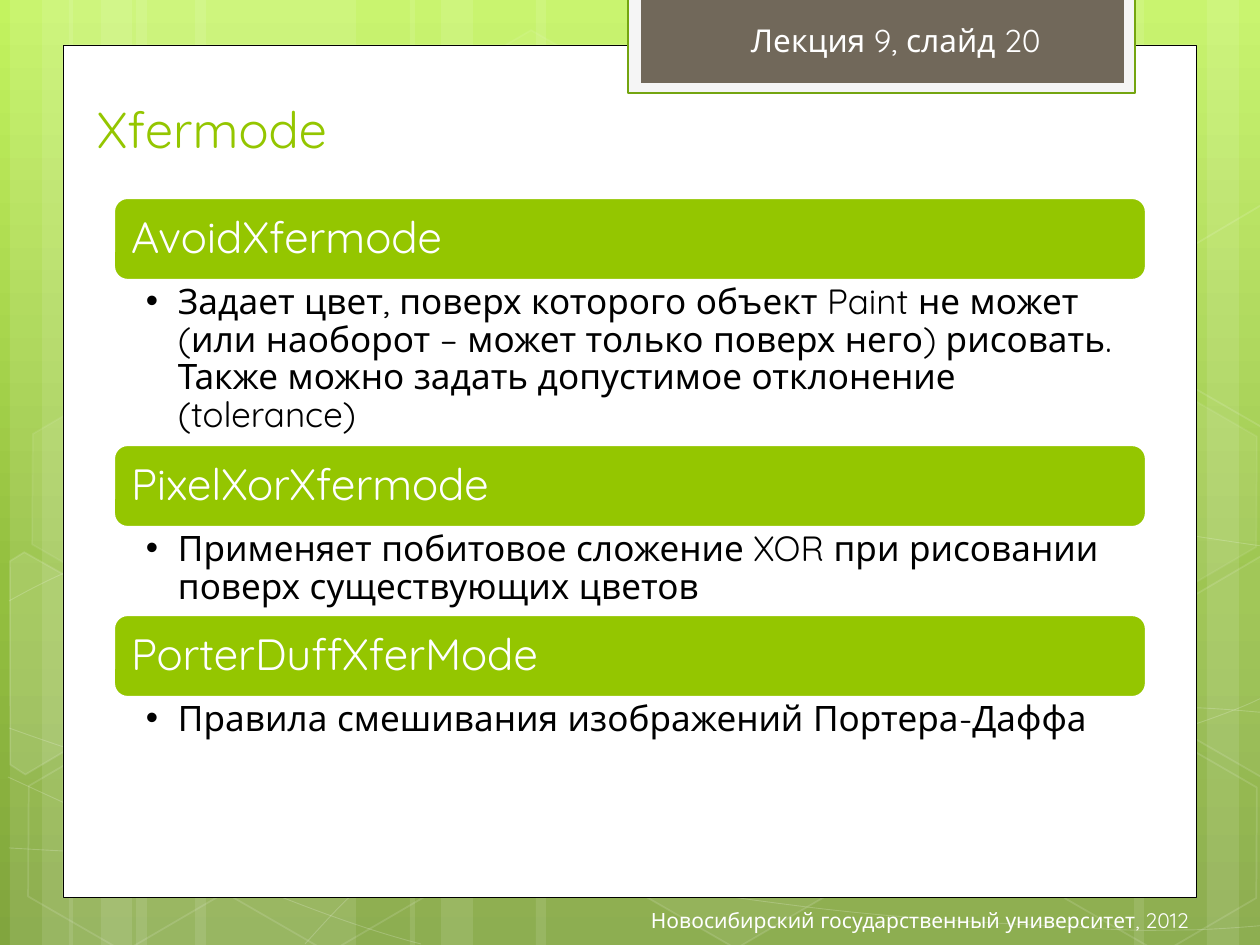
import copy
import math
from dataclasses import dataclass

import pptx
import pptx.dml.color
import pptx.enum.shapes
import pptx.enum.text
import pptx.oxml
import pptx.oxml.ns
import pptx.util

SCALE = 914400 / 126  # EMU per px
FONT = "Quicksand"
GREEN, WHITE, BLACK = "94C600", "FFFFFF", "000000"
TILT = 30  # degrees, all hexagons
SHAPE = pptx.enum.shapes.MSO_SHAPE
ALIGN = pptx.enum.text.PP_ALIGN
ANCHOR = pptx.enum.text.MSO_ANCHOR
qn = pptx.oxml.ns.qn
NS = pptx.oxml.ns.nsdecls("a")


@dataclass
class Box:
    x: int
    y: int
    w: int
    h: int


@dataclass
class Style:
    fill: str | None = None
    fill_alpha: int = 100
    line: str | None = None
    width: float = 1
    line_alpha: int = 100


@dataclass
class Hexagon:
    x: int
    y: int
    fill_alpha: int
    line_alpha: int


@dataclass
class CutHexagon:
    center: tuple
    fill_alpha: int
    corners: list[tuple]


@dataclass
class Curve:
    points: list[tuple]  # a start, then two handles and an end for each piece
    straight: int = -1  # index of an end that is reached by a straight line


@dataclass
class Section:
    name: str
    text: str
    height: int


HEXAGONS = [
    Hexagon(421, 45, 4, 8), Hexagon(626, 742, 6, 12), Hexagon(14, 745, 0, 12),
    Hexagon(18, 393, 7, 8), Hexagon(219, 746, 0, 12), Hexagon(949, 571, 10, 12),
    Hexagon(1051, 747, 0, 12), Hexagon(1051, 396, 7, 8),
]
CUT_HEXAGONS = [
    CutHexagon((45, 674), 10, [(10, 561), (24, 552), (121, 607), (120, 718),
                               (25, 774), (10, 765)]),
    CutHexagon((1241, 655), 4, [(1167, 611), (1261, 556), (1271, 562), (1271, 772),
                                (1263, 777), (1167, 722)]),
    CutHexagon((1241, 304), 0, [(1167, 261), (1261, 205), (1273, 212), (1271, 422),
                                (1263, 427), (1167, 372)]),
]
CURVES = [
    Curve([(9, 848), (77, 852), (145, 856), (239, 854), (334, 853), (451, 850), (577, 838),
           (703, 825), (882, 801), (998, 777), (1113, 753), (1231, 716), (1269, 694)]),
    Curve([(9, 601), (45, 581), (82, 562), (152, 543), (224, 524), (326, 496), (437, 488),
           (549, 479), (685, 478), (824, 488), (963, 498), (1193, 537), (1269, 547)]),
    Curve([(8, 777), (160, 847), (311, 916), (421, 944)]),
    Curve([(9, 728), (48, 742), (88, 756), (161, 776), (234, 795), (344, 827), (450, 848),
           (554, 869), (687, 892), (791, 905), (896, 919), (1008, 924), (1075, 927),
           (1140, 932), (1158, 930), (1191, 930), (1223, 929), (1246, 927), (1269, 925)]),
    Curve([(305, 944), (328, 919), (350, 893), (381, 871), (411, 848), (454, 823), (489, 805),
           (524, 788), (546, 780), (592, 767), (638, 755), (722, 737), (766, 728),
           (811, 719), (818, 719), (857, 717), (896, 713), (958, 709), (1000, 708),
           (1045, 707), (1116, 708), (1116, 708), (1201, 708),
           (1223, 709), (1245, 711), (1256, 712), (1268, 713), (1264, 712), (1268, 713)], 22),
]
SECTIONS = [
    Section("AvoidXfermode", "Задает цвет, поверх которого объект Paint не может "
            "(или наоборот – может только поверх него) рисовать. "
            "Также можно задать допустимое отклонение (tolerance)", 165),
    Section("PixelXorXfermode", "Применяет побитовое сложение XOR при рисовании "
            "поверх существующих цветов", 88),
    Section("PorterDuffXferMode", "Правила смешивания изображений Портера-Даффа", 88),
]


def px(n: float) -> pptx.util.Emu:
    return pptx.util.Emu(round(n * SCALE))


def rgb(color: str) -> pptx.dml.color.RGBColor:
    return pptx.dml.color.RGBColor.from_string(color)


def set_fill(fill, color: str | None, alpha: int, parent) -> None:
    if color is None or alpha == 0:
        fill.background()
        return
    fill.solid()
    fill.fore_color.rgb = rgb(color)
    if alpha < 100:
        clr = parent.find(qn("a:solidFill")).find(qn("a:srgbClr"))
        clr.append(pptx.oxml.parse_xml(f'<a:alpha {NS} val="{alpha * 1000}"/>'))


def apply_style(sp, style: Style) -> None:
    sp.shadow.inherit = False
    sp_pr = sp._element.spPr
    set_fill(sp.fill, style.fill, style.fill_alpha, sp_pr)
    sp.line.width = pptx.util.Pt(style.width)
    set_fill(sp.line.fill, style.line, style.line_alpha, sp_pr.find(qn("a:ln")))


def add_shape(s, kind, box: Box, style: Style):
    sp = s.shapes.add_shape(kind, px(box.x), px(box.y), px(box.w), px(box.h))
    apply_style(sp, style)
    return sp


def add_outline(s, points: list[tuple], style: Style, close: bool):
    builder = s.shapes.build_freeform(*points[0], scale=SCALE)
    builder.add_line_segments(points[1:], close=close)
    sp = builder.convert_to_shape()
    apply_style(sp, style)
    return sp


def add_curve(s, curve: Curve, style: Style) -> None:
    sp = add_outline(s, curve.points, style, False)
    lines = sp._element.findall(".//" + qn("a:lnTo"))
    i = 0
    while i < len(lines):
        if i + 1 == curve.straight:
            i += 1
            continue
        # Two handles and an end become one cubic piece
        cubic = pptx.oxml.parse_xml(f"<a:cubicBezTo {NS}/>")
        lines[i].addprevious(cubic)
        for line in lines[i:i + 3]:
            cubic.append(line[0])
            line.getparent().remove(line)
        i += 3


def add_cut_hexagon(s, h: CutHexagon) -> None:
    cx, cy = h.center
    cos, sin = math.cos(math.radians(TILT)), math.sin(math.radians(TILT))
    upright = [(cx + (x - cx) * cos + (y - cy) * sin, cy - (x - cx) * sin + (y - cy) * cos)
               for x, y in h.corners]
    add_outline(s, upright, Style(WHITE, h.fill_alpha, WHITE, 1, 12), True).rotation = TILT


def add_text(s, box: Box, text: str, size: float, color: str, *, anchor=ANCHOR.TOP,
             align=ALIGN.LEFT, insets: tuple = (13, 6, 13, 6), wrap: bool = True,
             spacing: float = 1, margin: int = 0, bullet: bool = False) -> None:
    sp = s.shapes.add_textbox(px(box.x), px(box.y), px(box.w), px(box.h))
    tf = sp.text_frame
    tf.word_wrap = wrap
    tf.vertical_anchor = anchor
    tf.margin_left, tf.margin_top, tf.margin_right, tf.margin_bottom = map(px, insets)
    p = tf.paragraphs[0]
    p_pr = p._p.get_or_add_pPr()
    p_pr.set("marL", str(px(margin)))
    if bullet:
        p_pr.set("indent", str(-px(margin)))
        p_pr.append(pptx.oxml.parse_xml(f'<a:buFont {NS} typeface="Arial"/>'))
        p_pr.append(pptx.oxml.parse_xml(f'<a:buChar {NS} char="•"/>'))
        p.level = 1
    p.alignment = align
    p.line_spacing = spacing
    r = p.add_run()
    r.text = text
    r.font.size = pptx.util.Pt(size)
    r.font.name = FONT
    r.font.color.rgb = rgb(color)


def add_background(s) -> None:
    fill = s.background.fill
    fill.gradient()
    fill.gradient_angle = 270
    stops = s._element.find(".//" + qn("a:gsLst"))
    stops.append(copy.deepcopy(stops[-1]))
    for stop, (position, color) in zip(
            fill.gradient_stops, [(0, "C3F35F"), (0.62, "93BF3F"), (1, "81A53E")]):
        stop.position = position
        stop.color.rgb = rgb(color)


def add_decoration(s) -> None:
    # Translucent vertical stripes
    left = [(136, 220), (10, 63), (42, 105)]
    stripes = left + [(x + 59, w) for x, w in left] + [
        (924, 220), (1207, 63), (1134, 105), (536, 388), (410, 63), (441, 105)]
    for x, w in stripes:
        add_shape(s, SHAPE.RECTANGLE, Box(x, 0, w, 945), Style(WHITE, 10))
    # Thin curves
    for curve in CURVES:
        add_curve(s, curve, Style(line=WHITE, width=0.5, line_alpha=20))
    # Hexagons, whole and cut off by the slide edge
    for h in HEXAGONS:
        sp = add_shape(s, SHAPE.HEXAGON, Box(h.x, h.y, 220, 192),
                       Style(WHITE, h.fill_alpha, WHITE, 1, h.line_alpha))
        sp.adjustments[0] = 0.285
        sp.rotation = TILT
    for h in CUT_HEXAGONS:
        add_cut_hexagon(s, h)


def add_sections(s) -> None:
    y, bar = 198, 82
    for section in SECTIONS:
        add_shape(s, SHAPE.ROUNDED_RECTANGLE, Box(114, y, 1032, bar),
                  Style(GREEN, line=WHITE, width=1.25))
        add_text(s, Box(118, y + 4, 1024, bar - 8), section.name, 25, WHITE,
                 anchor=ANCHOR.MIDDLE, insets=(13, 13, 13, 13), spacing=0.9)
        add_text(s, Box(114, y + bar, 1032, section.height), section.text, 20, BLACK,
                 insets=(32, 4, 24, 4), spacing=0.9, margin=32, bullet=True)
        y += bar + section.height


def main() -> None:
    prs = pptx.Presentation()
    prs.slide_width, prs.slide_height = px(1260), px(945)
    s = prs.slides.add_slide(prs.slide_layouts[6])
    add_background(s)
    add_decoration(s)
    # White page and header tab
    add_shape(s, SHAPE.RECTANGLE, Box(63, 45, 1134, 853), Style(WHITE, line=BLACK, width=0.5))
    add_shape(s, SHAPE.RECTANGLE, Box(628, -3, 507, 96),
              Style("F5F5F5", line="74A510", width=1.25))
    add_shape(s, SHAPE.RECTANGLE, Box(641, -3, 483, 86), Style("71685A"))
    # Title, header and footer
    add_text(s, Box(75, 86, 968, 79), "Xfermode", 28.8, GREEN, anchor=ANCHOR.BOTTOM, margin=9)
    add_text(s, Box(738, 15, 326, 50), "Лекция 9, слайд 20", 18, WHITE, wrap=False)
    add_text(s, Box(392, 895, 810, 50), "Новосибирский государственный университет, 2012",
             12, WHITE, anchor=ANCHOR.MIDDLE, align=ALIGN.RIGHT)
    add_sections(s)
    prs.save("out.pptx")


if __name__ == "__main__":
    main()
